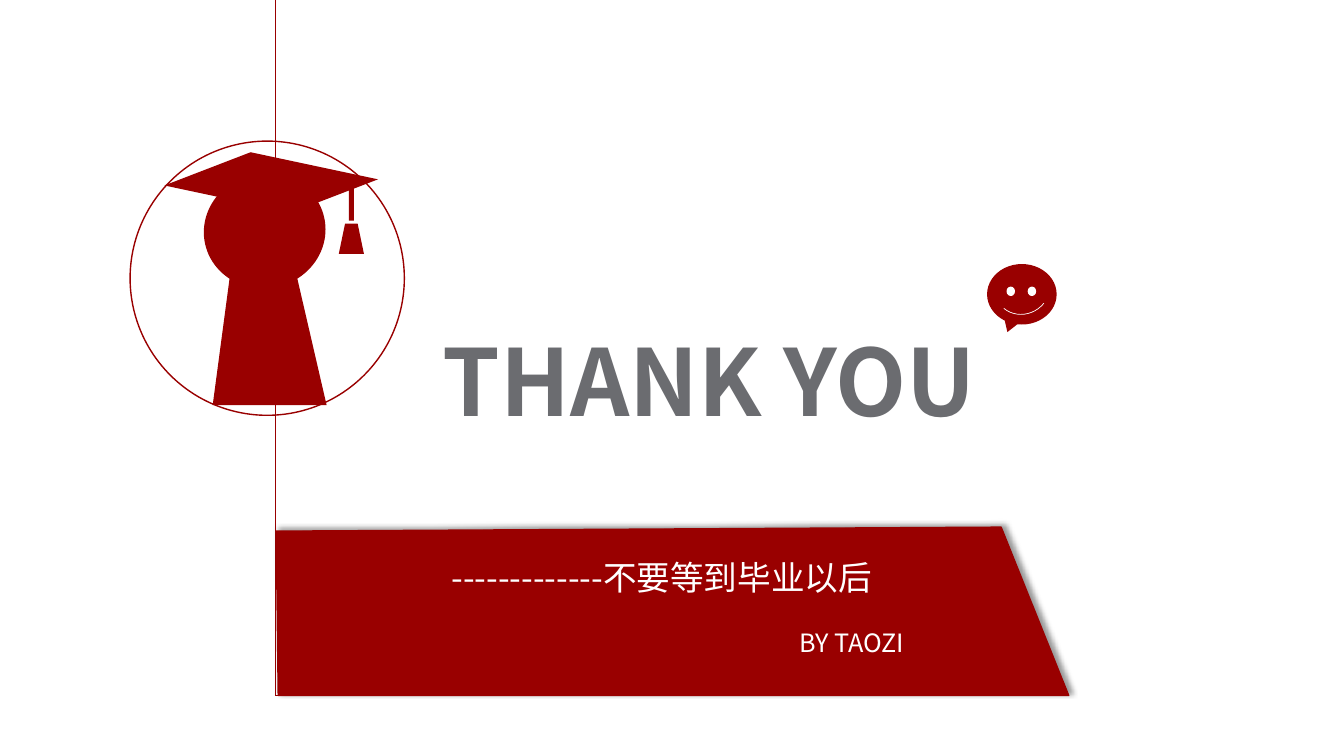
from lxml import etree
from pptx import Presentation
from pptx import util as u
from pptx.dml.color import RGBColor
from pptx.enum import shapes, text
from pptx.oxml import ns

COLORS = {"red": "990000", "gray": "6B6C70", "white": "FFFFFF", "black": "000000"}
FONT = "Noto Sans CJK SC"
KIND = shapes.MSO_SHAPE


class ClosingSlide:
    def __init__(self, deck):
        self.page = deck.slides.add_slide(deck.slide_layouts[5])
        self.canvas = self.page.shapes

    def color(self, name):
        return RGBColor.from_string(COLORS[name])

    def paint(self, shape, fill=None, line=None, width=1):
        shape.shadow.inherit = False
        if fill:
            shape.fill.solid()
            shape.fill.fore_color.rgb = self.color(fill)
        else:
            shape.fill.background()
        if line:
            shape.line.color.rgb = self.color(line)
            shape.line.width = u.Pt(width)
        else:
            shape.line.fill.background()
        return shape

    def shape(self, kind, at, rotation=0, adjustments=(), **style):
        shape = self.canvas.add_shape(kind, *map(u.Inches, at))
        shape.rotation = rotation
        for index, value in enumerate(adjustments):
            shape.adjustments[index] = value
        return self.paint(shape, **style)

    def polygon(self, points, **style):
        start, *rest = [tuple(map(u.Inches, point)) for point in points]
        builder = self.canvas.build_freeform(*start)
        builder.add_line_segments(rest, close=True)
        return self.paint(builder.convert_to_shape(), **style)

    def rule(self, start, end):
        line = self.canvas.add_connector(
            shapes.MSO_CONNECTOR.STRAIGHT, *map(u.Inches, start + end))
        line.line.color.rgb = self.color("red")
        line.line.width = u.Pt(0.5)
        etree.SubElement(line._element.spPr, ns.qn("a:effectLst"))

    def cast_shadow(self, shape, blur, distance, angle, opacity):
        """Fill the empty effect list; blur and distance in points, angle in degrees."""
        effects = shape._element.spPr.find(ns.qn("a:effectLst"))
        shadow = etree.SubElement(
            effects, ns.qn("a:outerShdw"), blurRad=str(u.Pt(blur)),
            dist=str(u.Pt(distance)), dir=str(angle * 60000),
            algn="bl", rotWithShape="0")
        tint = etree.SubElement(shadow, ns.qn("a:srgbClr"), val=COLORS["black"])
        etree.SubElement(tint, ns.qn("a:alpha"), val=str(opacity * 1000))

    def fill_text(self, box, words, color, frame_format, para_format, font_format):
        frame = box.text_frame
        para = frame.paragraphs[0]
        span = para.add_run()
        span.text = words
        span.font.color.rgb = self.color(color)
        for target, values in ((frame, frame_format), (para, para_format),
                               (span.font, {"name": FONT, **font_format})):
            for name, value in values.items():
                setattr(target, name, value)
        etree.SubElement(span._r.get_or_add_rPr(), ns.qn("a:ea"), typeface=FONT)

    def title(self, words, at):
        box = self.page.shapes.title
        box.left, box.top, box.width, box.height = map(u.Inches, at)
        self.fill_text(box, words, "gray",
                       {"word_wrap": True, "auto_size": text.MSO_AUTO_SIZE.NONE,
                        "vertical_anchor": text.MSO_ANCHOR.MIDDLE},
                       {"alignment": text.PP_ALIGN.LEFT, "line_spacing": 0.9},
                       {"size": u.Pt(66), "bold": True})

    def caption(self, words, at, size):
        box = self.canvas.add_textbox(*map(u.Inches, at))
        self.fill_text(box, words, "white",
                       {"word_wrap": True,
                        "auto_size": text.MSO_AUTO_SIZE.SHAPE_TO_FIT_TEXT},
                       {}, {"size": u.Pt(size)})

    def graduate(self):
        """Group a head, cap, tassel and gown inside the ring."""
        self.shape(KIND.OVAL, (1.29, 1.4, 2.72, 2.72), line="red")
        self.canvas = self.page.shapes.add_group_shape().shapes
        self.shape(KIND.OVAL, (2.02, 1.72, 1.21, 1.14), 347.7, fill="red")
        self.shape(KIND.PARALLELOGRAM, (1.66, 1.56, 2.06, 0.5), 12, [1.536], fill="red")
        self.shape(KIND.RECTANGLE, (3.46, 1.75, 0.05, 0.44), fill="red")
        self.shape(KIND.TRAPEZOID, (3.36, 2.22, 0.25, 0.3), fill="red")
        self.polygon([(2.31, 2.52), (2.9, 2.55), (3.24, 4.02), (2.11, 4.02)], fill="red")
        self.canvas = self.page.shapes

    def smiley(self):
        self.shape(KIND.OVAL_CALLOUT, (9.79, 2.62, 0.69, 0.6), fill="red")
        for eye_left in (9.99, 10.2):
            self.shape(KIND.OVAL, (eye_left, 2.85, 0.07, 0.08), fill="white", line="white")
        self.shape(KIND.ARC, (9.85, 2.56, 0.58, 0.55), 129.6, [161.69, 0],
                   line="white", width=0.5)

    def banner(self):
        corner = (2.73, 6.9)
        self.rule((2.73, 0), corner)
        self.rule((10.6, 6.9), corner)
        panel = self.polygon([(2.76, 6.9), (2.74, 5.27), (9.93, 5.23), (10.6, 6.9)],
                             fill="red", line="red")
        self.cast_shadow(panel, blur=4, distance=3, angle=315, opacity=40)
        self.caption("-------------不要等到毕业以后", (4.38, 5.48, 4.81, 0.5), 24)
        self.caption("BY TAOZI", (7.83, 6.17, 1.43, 0.4), 18)


def main():
    deck = Presentation()
    deck.slide_width, deck.slide_height = u.Inches(13.33), u.Inches(7.5)
    slide = ClosingSlide(deck)
    slide.title("THANK YOU", (4.29, 3.07, 6.32, 1.53))
    slide.graduate()
    slide.smiley()
    slide.banner()
    deck.save("out.pptx")


if __name__ == "__main__":
    main()
